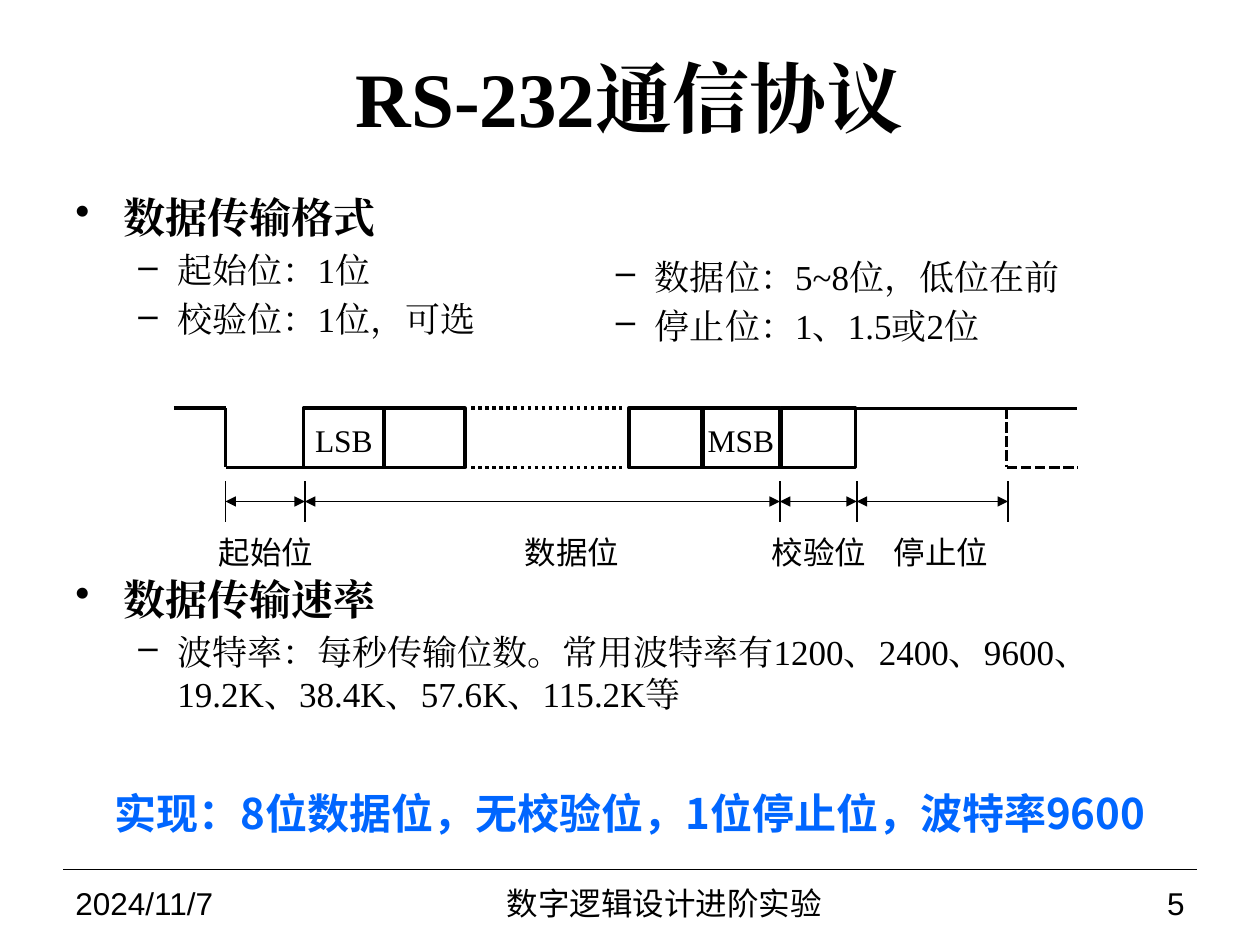
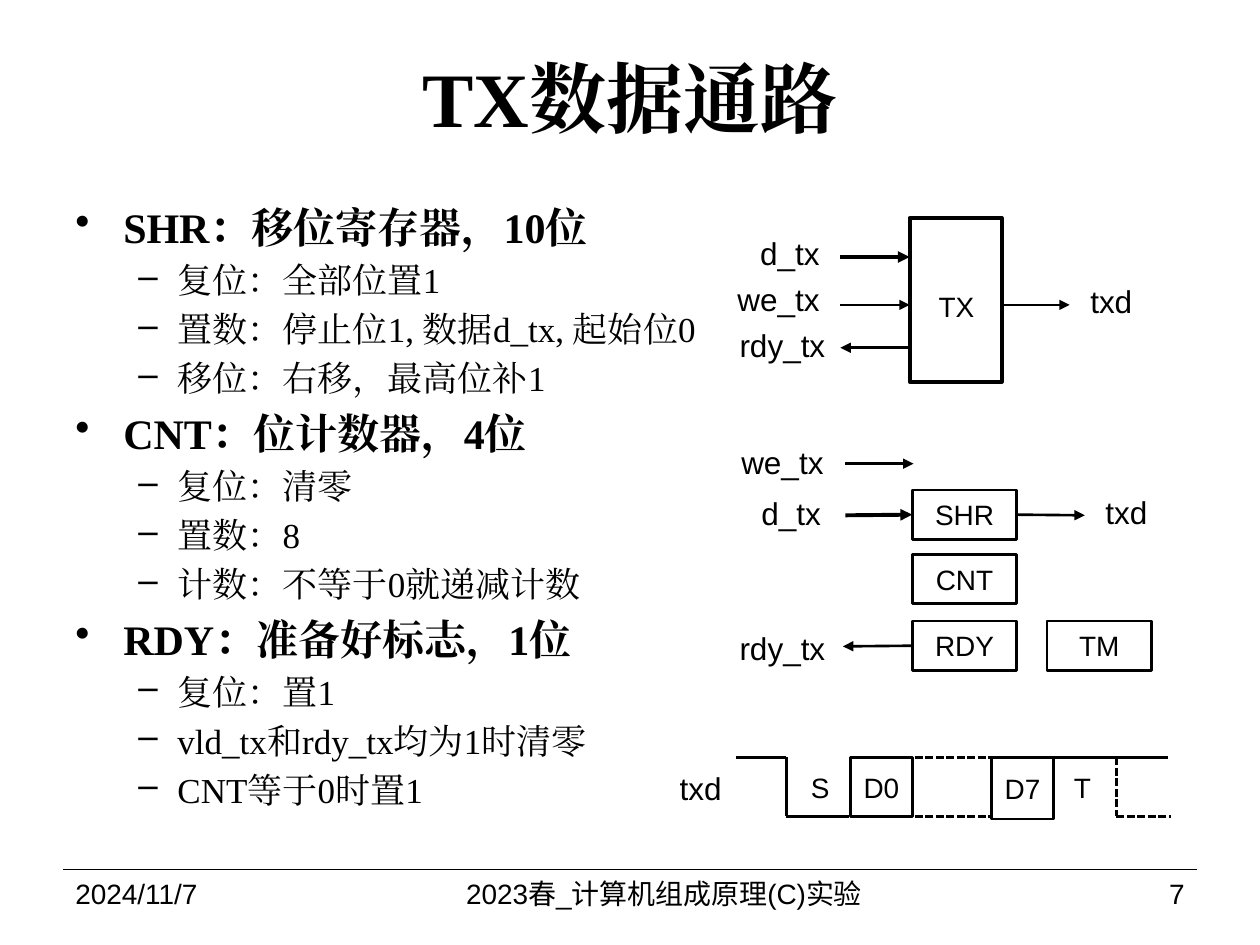
from lxml import etree
from pptx import Presentation
from pptx.dml.color import RGBColor
from pptx.enum.dml import MSO_LINE
from pptx.enum.shapes import MSO_CONNECTOR, MSO_SHAPE
from pptx.enum.text import MSO_ANCHOR, PP_ALIGN
from pptx.oxml.ns import qn
from pptx.util import Inches, Pt

STRAIGHT = MSO_CONNECTOR.STRAIGHT
RECT = MSO_SHAPE.RECTANGLE
DOT, DASH = MSO_LINE.ROUND_DOT, MSO_LINE.SQUARE_DOT
TOP, MIDDLE = MSO_ANCHOR.TOP, MSO_ANCHOR.MIDDLE
LEFT, CENTER, RIGHT = PP_ALIGN.LEFT, PP_ALIGN.CENTER, PP_ALIGN.RIGHT
LEFT_SIDE, RIGHT_SIDE = 1, 3

BLACK = RGBColor(0x00, 0x00, 0x00)
BLUE = RGBColor(0x00, 0x66, 0xFF)
SERIF, SANS, CJK = "Times New Roman", "Arial", "Noto Sans CJK SC"

# Per outline level: bullet, left margin, hanging indent, size, bold
LEVELS = [("•", 0.38, -0.38, 24, True), ("–", 0.81, -0.31, 20, False)]


# ---- Text ----
def add_run(p, text, size, font, bold=False, color=BLACK):
    r = p.add_run()
    r.text = text
    r.font.size, r.font.bold, r.font.name = Pt(size), bold, font
    r.font.color.rgb = color
    east_asian = etree.SubElement(r._r.get_or_add_rPr(), qn("a:ea"))
    east_asian.set("typeface", font)


def set_frame(tf, anchor, inset=(0.1, 0.05)):
    tf.word_wrap = True
    tf.vertical_anchor = anchor
    tf.margin_left = tf.margin_right = Inches(inset[0])
    tf.margin_top = tf.margin_bottom = Inches(inset[1])


def add_text(s, x, y, w, h, text, size, font, align=CENTER, inset=(0.1, 0.05), **style):
    tf = s.shapes.add_textbox(Inches(x), Inches(y), Inches(w), Inches(h)).text_frame
    set_frame(tf, MIDDLE, inset)
    p = tf.paragraphs[0]
    p.alignment = align
    add_run(p, text, size, font, **style)


def add_label(s, cx, cy, text, size=18, font=SANS, w=0.9, **style):
    """Text centred on a point."""
    h = 0.4
    add_text(s, cx - w / 2, cy - h / 2, w, h, text, size, font, inset=(0, 0), **style)


def add_outline(s, x, y, w, h, items):
    """Bulleted list of (level, text) items."""
    tf = s.shapes.add_textbox(Inches(x), Inches(y), Inches(w), Inches(h)).text_frame
    set_frame(tf, TOP)
    for i, (level, text) in enumerate(items):
        bullet, margin, indent, size, bold = LEVELS[level]
        p = tf.add_paragraph() if i else tf.paragraphs[0]
        p.level = level
        pPr = p._p.get_or_add_pPr()
        pPr.set("marL", str(Inches(margin)))
        pPr.set("indent", str(Inches(indent)))
        if i:
            before = etree.SubElement(pPr, qn("a:spcBef"))
            etree.SubElement(before, qn("a:spcPct")).set("val", "20000")
        etree.SubElement(pPr, qn("a:buChar")).set("char", bullet)
        add_run(p, text, size, SERIF, bold)


# ---- Shapes ----
def add_line(s, x1, y1, x2, y2, width=1.5, dash=None, head=False, tail=False):
    line = s.shapes.add_connector(STRAIGHT, Inches(x1), Inches(y1), Inches(x2), Inches(y2))
    line.line.width = Pt(width)
    line.line.color.rgb = BLACK
    if dash:
        line.line.dash_style = dash
    ln = line.line._get_or_add_ln()
    for tag, wanted in (("a:headEnd", head), ("a:tailEnd", tail)):
        if wanted:
            etree.SubElement(ln, qn(tag)).set("type", "triangle")
    etree.SubElement(line._element.spPr, qn("a:effectLst"))
    return line


def add_box(s, x, y, w, h, text="", width=1.5):
    sp = s.shapes.add_shape(RECT, Inches(x), Inches(y), Inches(w), Inches(h))
    sp.shadow.inherit = False
    sp.fill.background()
    sp.line.color.rgb = BLACK
    sp.line.width = Pt(width)
    if text:
        set_frame(sp.text_frame, MIDDLE, (0, 0))
        p = sp.text_frame.paragraphs[0]
        p.alignment = CENTER
        add_run(p, text, 16, SANS)
    return sp


# ---- Shared slide frame ----
def add_slide(prs, title, course, number, footer_y, footer_h, footer_size):
    s = prs.slides.add_slide(prs.slide_layouts[6])
    add_line(s, 0.5, 6.9, 9.5, 6.9, 0.75)
    add_text(s, 0.5, 0.3, 9, 0.93, title, 44, SERIF, bold=True)
    footers = [(0.5, 2.33, "2024/11/7", LEFT), (2.83, 4.88, course, CENTER),
               (7.71, 1.79, number, RIGHT)]
    for x, w, text, align in footers:
        add_text(s, x, footer_y, w, footer_h, text, footer_size, SANS, align)
    return s


# ---- RS-232 frame format ----
def add_frame_diagram(s):
    high, low, height = 3.24, 3.71, 0.47
    # Idle level and start bit
    add_line(s, 1.38, high, 1.79, high, 2)
    add_line(s, 1.79, high, 1.79, low, 2)
    add_line(s, 1.79, low, 2.42, low, 2)
    # Data and parity bits
    for x, w in ((2.41, 0.64), (3.05, 0.64), (4.99, 0.59), (5.57, 0.62), (6.2, 0.59)):
        add_box(s, x, high, w, height, width=2)
    for cx, text in ((2.73, "LSB"), (5.88, "MSB")):
        add_label(s, cx, 3.49, text, font=SERIF)
    for y in (high, low):
        add_line(s, 3.74, y, 4.94, y, 2, DOT)
    # Stop bit and next frame
    add_line(s, 6.8, high, 8.55, high)
    add_line(s, 7.99, high, 7.99, low, 2, DASH)
    add_line(s, 7.99, low, 8.55, low, 2, DASH)
    # Field extents
    edges = [1.79, 2.42, 6.19, 6.8, 8]
    for x in edges:
        add_line(s, x, 4.14, x, 3.82, 1)
    for start, end in zip(edges, edges[1:]):
        add_line(s, start, 3.98, end, 3.98, 0.75, head=True, tail=True)
    for cx, text in ((2.11, "起始位"), (4.54, "数据位"), (6.5, "校验位"), (7.47, "停止位")):
        add_label(s, cx, 4.38, text, font=CJK)


def build_protocol(prs):
    s = add_slide(prs, "RS-232通信协议", "数字逻辑设计进阶实验", "5", 6.98, 0.37, 18)
    add_outline(s, 0.5, 1.47, 4.2, 1.4, [
        (0, "数据传输格式"),
        (1, "起始位：1位"),
        (1, "校验位：1位，可选"),
    ])
    add_outline(s, 4.29, 1.98, 5, 1.14, [
        (1, "数据位：5~8位，低位在前"),
        (1, "停止位：1、1.5或2位"),
    ])
    add_frame_diagram(s)
    add_outline(s, 0.5, 4.5, 9, 1.5, [
        (0, "数据传输速率"),
        (1, "波特率：每秒传输位数。常用波特率有1200、2400、9600、"
            "19.2K、38.4K、57.6K、115.2K等"),
    ])
    add_label(s, 5, 6.45, "实现：8位数据位，无校验位，1位停止位，波特率9600",
              24, CJK, 9, bold=True, color=BLUE)


# ---- TX data path ----
def add_tx_ports(s):
    add_box(s, 7.22, 1.73, 0.73, 1.3, width=2.25)
    add_label(s, 7.59, 2.43, "TX", 16)
    for cx, cy, text in ((6.27, 2.01, "d_tx"), (6.18, 2.37, "we_tx"),
                         (6.21, 2.74, "rdy_tx"), (8.82, 2.39, "txd")):
        add_label(s, cx, cy, text)
    add_line(s, 6.67, 2.04, 7.22, 2.04, 2.25, tail=True)
    add_line(s, 6.67, 2.42, 7.22, 2.42, tail=True)
    add_line(s, 7.22, 2.76, 6.67, 2.76, tail=True)
    add_line(s, 7.95, 2.42, 8.49, 2.42, tail=True)


def add_tx_registers(s):
    shr, _, rdy, _ = [
        add_box(s, x, y, 0.83, 0.39, text)
        for x, y, text in ((7.24, 3.89, "SHR"), (7.24, 4.4, "CNT"),
                           (7.24, 4.93, "RDY"), (8.31, 4.93, "TM"))]
    for cx, cy, text in ((6.21, 3.67, "we_tx"), (6.28, 4.07, "d_tx"),
                         (6.21, 5.14, "rdy_tx"), (8.94, 4.06, "txd")):
        add_label(s, cx, cy, text)
    add_line(s, 6.71, 3.68, 7.25, 3.68, tail=True)
    load = add_line(s, 6.71, 4.09, 7.24, 4.09, 2.25, tail=True)
    load.end_connect(shr, LEFT_SIDE)
    serial_out = add_line(s, 8.07, 4.09, 8.61, 4.09, tail=True)
    serial_out.begin_connect(shr, RIGHT_SIDE)
    ready = add_line(s, 7.24, 5.13, 6.69, 5.13, tail=True)
    ready.begin_connect(rdy, LEFT_SIDE)


def add_txd_waveform(s):
    high, low = 6.01, 6.48
    add_line(s, 5.84, high, 6.24, high)
    add_line(s, 6.24, high, 6.24, low)
    add_line(s, 6.24, low, 6.74, low)
    add_box(s, 6.75, high, 0.49, 0.47, "D0")
    for y in (high, low):
        add_line(s, 7.26, y, 7.87, y, dash=DASH)
    add_box(s, 7.87, high, 0.49, 0.49, "D7")
    add_line(s, 8.36, high, 9.27, high)
    add_line(s, 8.86, high, 8.86, low, dash=DASH)
    add_line(s, 8.86, low, 9.29, low, dash=DASH)
    for cx, text, size in ((5.56, "txd", 18), (6.51, "S", 16), (8.59, "T", 16)):
        add_label(s, cx, 6.25, text, size, w=0.49)


def build_data_path(prs):
    s = add_slide(prs, "TX数据通路", "2023春_计算机组成原理(C)实验", "7", 6.83, 0.52, 16)
    add_tx_ports(s)
    add_tx_registers(s)
    add_outline(s, 0.5, 1.55, 5.21, 5.32, [
        (0, "SHR：移位寄存器，10位"),
        (1, "复位：全部位置1"),
        (1, "置数：停止位1, 数据d_tx, 起始位0"),
        (1, "移位：右移，最高位补1"),
        (0, "CNT：位计数器，4位"),
        (1, "复位：清零"),
        (1, "置数：8"),
        (1, "计数：不等于0就递减计数"),
        (0, "RDY：准备好标志，1位"),
        (1, "复位：置1"),
        (1, "vld_tx和rdy_tx均为1时清零"),
        (1, "CNT等于0时置1"),
    ])
    add_txd_waveform(s)


def main():
    prs = Presentation()
    prs.slide_width, prs.slide_height = Inches(10), Inches(7.5)
    build_protocol(prs)
    build_data_path(prs)
    prs.save("out.pptx")


if __name__ == "__main__":
    main()
